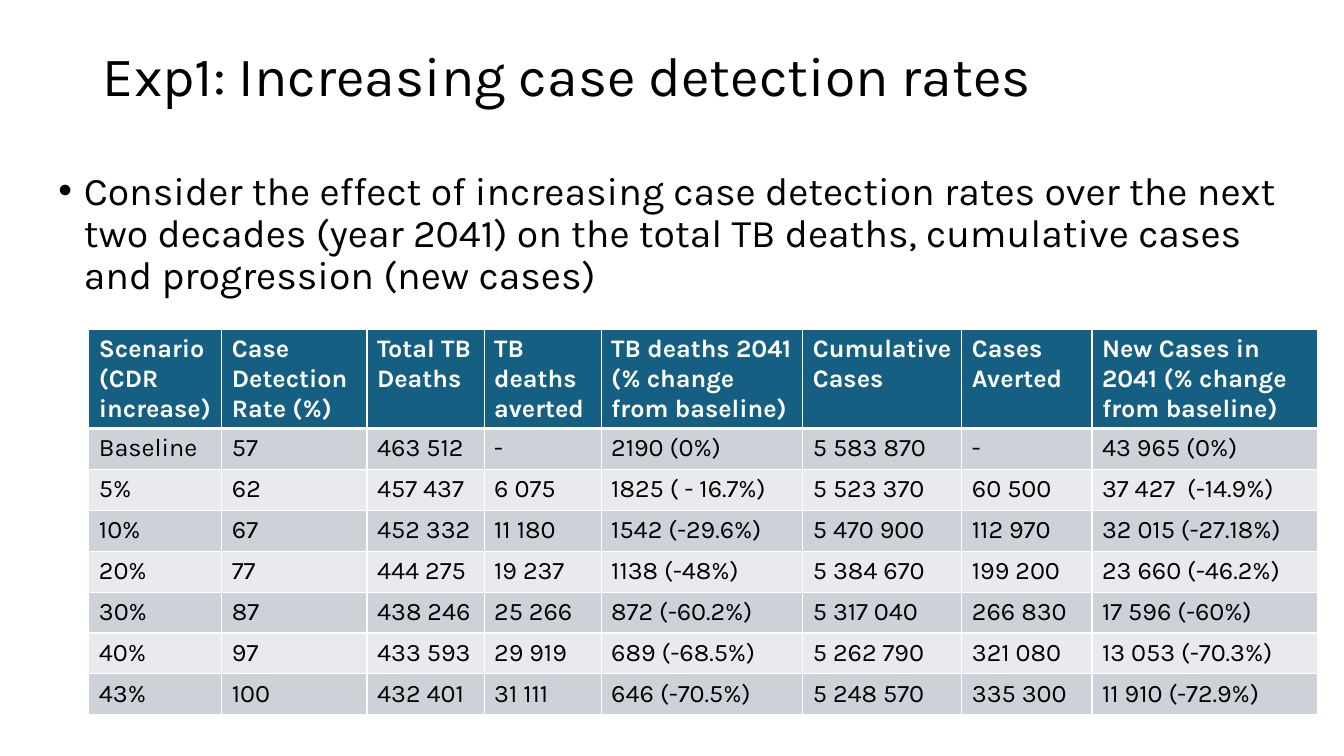
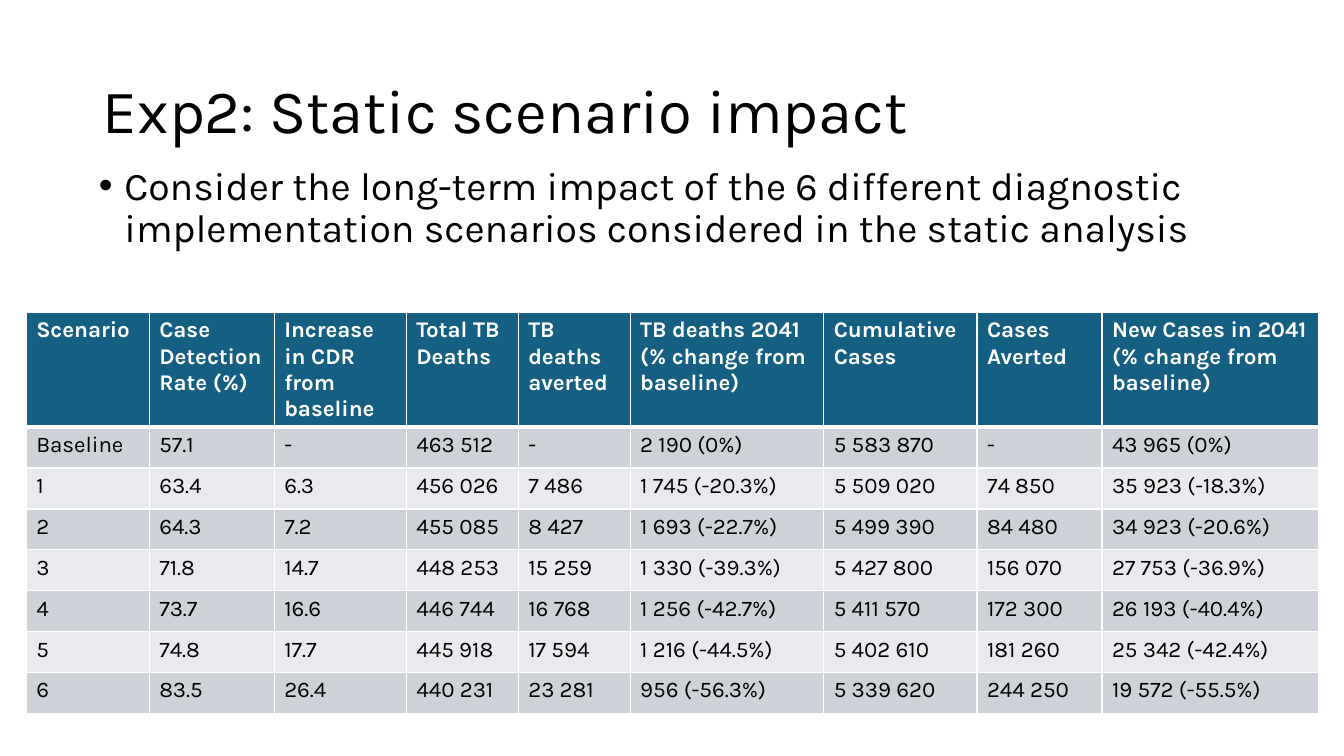
from lxml.etree import Element, SubElement
from pptx import Presentation
from pptx.dml.color import RGBColor
from pptx.enum.text import MSO_ANCHOR as Anchor, MSO_AUTO_SIZE as AutoSize, PP_ALIGN as Align
from pptx.oxml.ns import qn
from pptx.util import Cm, Pt

FONT = "Karla"
BLACK = RGBColor(0x00, 0x00, 0x00)
WHITE = RGBColor(0xFF, 0xFF, 0xFF)
HEADER_BLUE = RGBColor(0x15, 0x60, 0x82)
BAND_DARK = RGBColor(0xCC, 0xD2, 0xD8)
BAND_LIGHT = RGBColor(0xE8, 0xEA, 0xED)

ROW_HEIGHT = 1.03
BORDER, HEADER_RULE = Pt(1), Pt(3)
DEATHS_2041 = "TB deaths 2041\n(% change from baseline)"
NEW_CASES_2041 = "New Cases in 2041 (% change from baseline)"

DETECTION_SLIDE = {
    "title": "Exp1: Increasing case detection rates",
    "title_box": (2.34, 1.02, 29.21, 1.9),
    "title_size": 39.6,
    "body": "Consider the effect of increasing case detection rates over the next two decades "
            "(year 2041) on the total TB deaths, cumulative cases and progression (new cases)",
    "body_box": (1.22, 4.19, 32, 4.11),
    "table_corner": (2.24, 8.31),
    "table_size": 18,
    "header_height": 2.48,
    "columns": (3.35, 3.66, 2.95, 2.95, 5.08, 4.01, 3.28, 5.69),
    "rows": [
        ("Scenario (CDR increase)", "Case Detection Rate (%)", "Total TB Deaths",
         "TB deaths averted", DEATHS_2041, "Cumulative Cases", "Cases Averted", NEW_CASES_2041),
        ("Baseline", "57", "463 512", "-", "2190 (0%)", "5 583 870", "-", "43 965 (0%)"),
        ("5%", "62", "457 437", "6 075", "1825 ( - 16.7%)", "5 523 370", "60 500", "37 427  (-14.9%)"),
        ("10%", "67", "452 332", "11 180", "1542 (-29.6%)", "5 470 900", "112 970", "32 015 (-27.18%)"),
        ("20%", "77", "444 275", "19 237", "1138 (-48%)", "5 384 670", "199 200", "23 660 (-46.2%)"),
        ("30%", "87", "438 246", "25 266", "872 (-60.2%)", "5 317 040", "266 830", "17 596 (-60%)"),
        ("40%", "97", "433 593", "29 919", "689 (-68.5%)", "5 262 790", "321 080", "13 053 (-70.3%)"),
        ("43%", "100", "432 401", "31 111", "646 (-70.5%)", "5 248 570", "335 300", "11 910 (-72.9%)"),
    ],
}

SCENARIO_SLIDE = {
    "title": "Exp2: Static scenario impact",
    "title_box": (2.34, 1.02, 29.21, 3.68),
    "title_size": 44,
    "body": "Consider the long-term impact of the 6 different diagnostic implementation "
            "scenarios considered in the static analysis",
    "body_box": (2.24, 4.06, 29.21, 2.44),
    "table_corner": (0.66, 7.87),
    "table_size": 16,
    "header_height": 2.87,
    "columns": (3.1, 3.15, 3.33, 2.82, 2.82, 4.88, 3.86, 3.15, 5.46),
    "rows": [
        ("Scenario", "Case Detection Rate (%)", "Increase in CDR from baseline", "Total TB Deaths",
         "TB deaths averted", DEATHS_2041, "Cumulative Cases", "Cases Averted", NEW_CASES_2041),
        ("Baseline", "57.1", "-", "463 512", "-", "2 190 (0%)", "5 583 870", "-", "43 965 (0%)"),
        ("1", "63.4", "6.3", "456 026", "7 486", "1 745 (-20.3%)", "5 509 020", "74 850", "35 923 (-18.3%)"),
        ("2", "64.3", "7.2", "455 085", "8 427", "1 693 (-22.7%)", "5 499 390", "84 480", "34 923 (-20.6%)"),
        ("3", "71.8", "14.7", "448 253", "15 259", "1 330 (-39.3%)", "5 427 800", "156 070", "27 753 (-36.9%)"),
        ("4", "73.7", "16.6", "446 744", "16 768", "1 256 (-42.7%)", "5 411 570", "172 300", "26 193 (-40.4%)"),
        ("5", "74.8", "17.7", "445 918", "17 594", "1 216 (-44.5%)", "5 402 610", "181 260", "25 342 (-42.4%)"),
        ("6", "83.5", "26.4", "440 231", "23 281", "956 (-56.3%)", "5 339 620", "244 250", "19 572 (-55.5%)"),
    ],
}


def add_run(paragraph, text, size, color=BLACK, bold=False):
    """Add one formatted run to a paragraph."""
    run = paragraph.add_run()
    run.text = text
    run.font.name = FONT
    run.font.size = Pt(size)
    run.font.color.rgb = color
    run.font.bold = bold


def fill_placeholder(shape, box, text, size, anchor):
    """Move a placeholder into its box, write its text and return the paragraph."""
    shape.left, shape.top, shape.width, shape.height = map(Cm, box)
    frame = shape.text_frame
    frame.word_wrap = True
    frame.auto_size = AutoSize.NONE
    frame.vertical_anchor = anchor
    paragraph = frame.paragraphs[0]
    paragraph.alignment = Align.LEFT
    paragraph.line_spacing = 0.9
    add_run(paragraph, text, size)
    return paragraph


def add_bullet(paragraph):
    """Give a paragraph a round bullet with a hanging indent."""
    paragraph.space_before = Pt(10)
    properties = paragraph._p.get_or_add_pPr()
    properties.set("marL", str(Cm(0.64)))
    properties.set("indent", str(-Cm(0.64)))
    SubElement(properties, qn("a:buFont"), typeface="Arial")
    SubElement(properties, qn("a:buChar"), char="•")


def set_borders(cell, top, bottom):
    """Draw white borders round a table cell."""
    properties = cell._tc.get_or_add_tcPr()
    widths = {"a:lnL": BORDER, "a:lnR": BORDER, "a:lnT": top, "a:lnB": bottom}
    for position, (tag, width) in enumerate(widths.items()):
        line = Element(qn(tag), w=str(width))
        fill = SubElement(line, qn("a:solidFill"))
        SubElement(fill, qn("a:srgbClr"), val=str(WHITE))
        properties.insert(position, line)


def fill_cell(cell, text, row_index, size):
    """Write and colour one cell according to its row."""
    header = row_index == 0
    cell.fill.solid()
    cell.fill.fore_color.rgb = HEADER_BLUE if header else BAND_DARK if row_index % 2 else BAND_LIGHT
    set_borders(cell, HEADER_RULE if row_index == 1 else BORDER, HEADER_RULE if header else BORDER)
    frame = cell.text_frame
    for index, part in enumerate(text.split("\n")):
        paragraph = frame.add_paragraph() if index else frame.paragraphs[0]
        add_run(paragraph, part, size, WHITE if header else BLACK, header)


def add_results_table(slide, corner, columns, header_height, rows, size):
    """Add a results table with its top left corner at the given point."""
    heights = [header_height] + [ROW_HEIGHT] * (len(rows) - 1)
    table = slide.shapes.add_table(len(rows), len(columns), *map(Cm, corner),
                                   Cm(sum(columns)), Cm(sum(heights))).table
    for column, width in zip(table.columns, columns):
        column.width = Cm(width)
    for row_index, (row, height, texts) in enumerate(zip(table.rows, heights, rows)):
        row.height = Cm(height)
        for cell, text in zip(row.cells, texts):
            fill_cell(cell, text, row_index, size)


def add_experiment_slide(presentation, content):
    """Add a slide with a title, one bullet and a results table."""
    slide = presentation.slides.add_slide(presentation.slide_layouts[1])
    fill_placeholder(slide.shapes.title, content["title_box"], content["title"],
                     content["title_size"], Anchor.MIDDLE)
    add_bullet(fill_placeholder(slide.placeholders[1], content["body_box"], content["body"],
                                28, Anchor.TOP))
    add_results_table(slide, content["table_corner"], content["columns"],
                      content["header_height"], content["rows"], content["table_size"])


def main():
    """Build and save the presentation."""
    presentation = Presentation()
    presentation.slide_width, presentation.slide_height = Cm(33.87), Cm(19.05)
    for content in (DETECTION_SLIDE, SCENARIO_SLIDE):
        add_experiment_slide(presentation, content)
    presentation.save("out.pptx")


if __name__ == "__main__":
    main()
